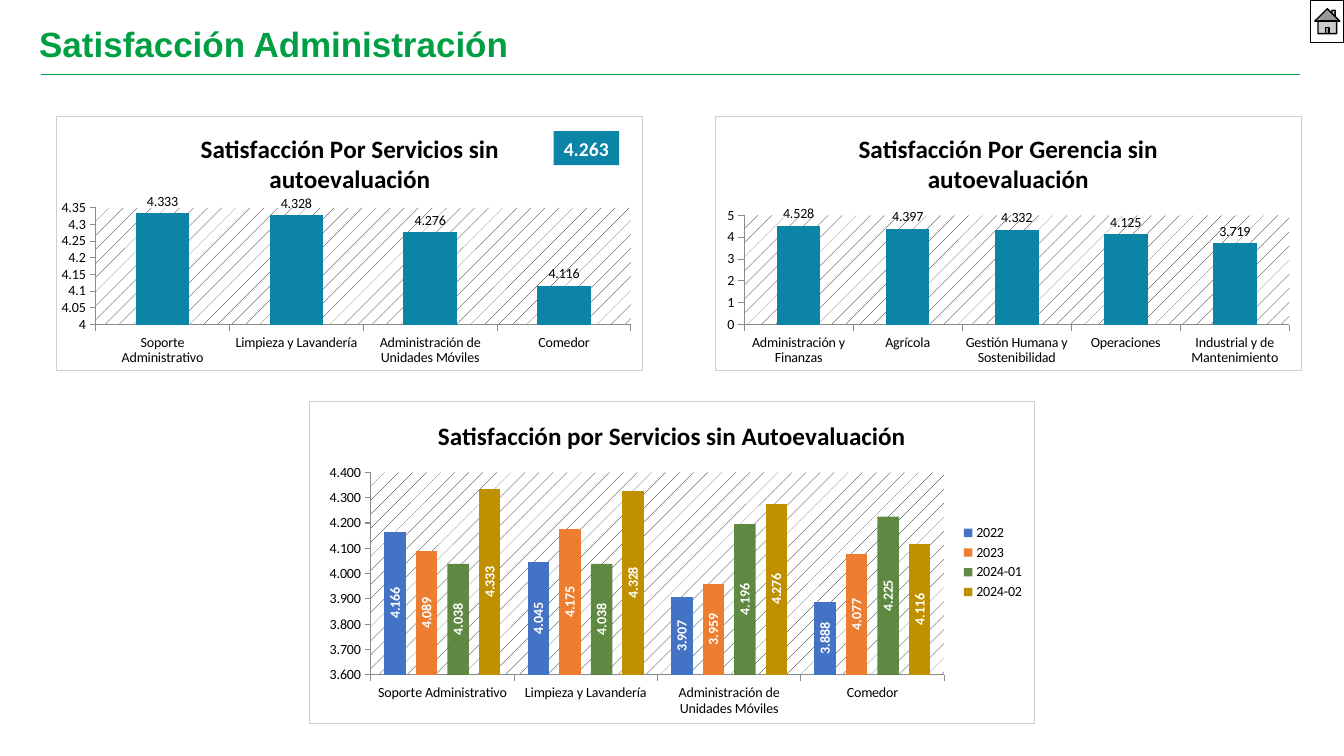
from lxml import etree
from pptx import Presentation
from pptx.chart.data import CategoryChartData
from pptx.dml.color import RGBColor
from pptx.enum.chart import XL_CHART_TYPE, XL_LABEL_POSITION, XL_LEGEND_POSITION, XL_TICK_MARK
from pptx.enum.shapes import MSO_CONNECTOR, MSO_SHAPE
from pptx.enum.text import MSO_ANCHOR, PP_ALIGN
from pptx.oxml import parse_xml
from pptx.oxml.ns import nsdecls, qn
from pptx.util import Inches, Pt

COLORS = {
    "green": "009F43", "teal": "0B84A5", "black": "000000", "white": "FFFFFF",
    "frame": "D0CECE", "axis": "8B8B8B", "2022": "4472C4", "2023": "ED7D31",
    "2024-01": "548235", "2024-02": "BF9000",
}
SERVICES = ["Soporte Administrativo", "Limpieza y Lavandería",
            "Administración de Unidades Móviles", "Comedor"]
MANAGEMENTS = ["Administración y Finanzas", "Agrícola", "Gestión Humana y Sostenibilidad",
               "Operaciones", "Industrial y de Mantenimiento"]
SERVICE_SCORES = [4.333, 4.328, 4.276, 4.116]
MANAGEMENT_SCORES = [4.528, 4.397, 4.332, 4.125, 3.719]
HISTORY = {
    "2022": [4.166, 4.045, 3.907, 3.888],
    "2023": [4.089, 4.175, 3.959, 4.077],
    "2024-01": [4.038, 4.038, 4.196, 4.225],
    "2024-02": SERVICE_SCORES,
}


def rgb(name):
    """Return the named colour."""
    return RGBColor.from_string(COLORS[name])


def style_font(font, size, color="black", bold=False, family="Calibri"):
    """Set the look of a font."""
    font.name, font.size, font.bold = family, Pt(size), bold
    font.color.rgb = rgb(color)


def frame_chart(chart, plot_box):
    """Outline the chart, hatch its plot area and place the plot by fractions."""
    frame = parse_xml(
        f'<c:spPr {nsdecls("c", "a")}><a:solidFill><a:srgbClr val="{COLORS["white"]}"/></a:solidFill>'
        f'<a:ln w="9525"><a:solidFill><a:srgbClr val="{COLORS["frame"]}"/></a:solidFill></a:ln></c:spPr>')
    hatch = parse_xml(
        f'<c:spPr {nsdecls("c", "a")}><a:pattFill prst="pct5">'
        f'<a:fgClr><a:srgbClr val="{COLORS["black"]}"/></a:fgClr>'
        f'<a:bgClr><a:srgbClr val="{COLORS["white"]}"/></a:bgClr></a:pattFill>'
        '<a:ln><a:noFill/></a:ln></c:spPr>')
    modes = '<c:layoutTarget val="inner"/><c:xMode val="edge"/><c:yMode val="edge"/>'
    places = "".join(f'<c:{key} val="{value}"/>' for key, value in zip("xywh", plot_box))
    layout = parse_xml(f'<c:layout {nsdecls("c")}><c:manualLayout>{modes}{places}'
                       '</c:manualLayout></c:layout>')
    body = chart.element.find(qn("c:chart"))
    plot_area = body.find(qn("c:plotArea"))
    for old_layout in plot_area.findall(qn("c:layout")):
        plot_area.remove(old_layout)
    plot_area.insert(0, layout)
    plot_area.append(hatch)
    body.addnext(frame)


def add_columns(slide, box, title, categories, series, plot_box, scale, axis_format="General"):
    """Add a framed column chart in the box and return it."""
    data = CategoryChartData()
    data.categories = categories
    for name, scores in series.items():
        data.add_series(name, scores)
    chart = slide.shapes.add_chart(XL_CHART_TYPE.COLUMN_CLUSTERED,
                                   *(Inches(length) for length in box), data).chart
    style_font(chart.font, 10)
    chart.has_legend = False
    chart.has_title = True
    heading = chart.chart_title.text_frame
    heading.text = title
    style_font(heading.paragraphs[0].font, 18, bold=True)
    for axis in (chart.category_axis, chart.value_axis):
        axis.has_major_gridlines = False
        axis.major_tick_mark = XL_TICK_MARK.OUTSIDE
        axis.format.line.color.rgb = rgb("axis")
    scores_axis = chart.value_axis
    scores_axis.minimum_scale, scores_axis.maximum_scale, scores_axis.major_unit = scale
    scores_axis.tick_labels.number_format = axis_format
    scores_axis.tick_labels.number_format_is_linked = False
    chart.plots[0].vary_by_categories = False
    chart.plots[0].gap_width = 150
    frame_chart(chart, plot_box)
    return chart


def paint_series(series, color, label_color, position, bold=False):
    """Fill a series and show its values."""
    series.format.fill.solid()
    series.format.fill.fore_color.rgb = rgb(color)
    series.invert_if_negative = False
    labels = series.data_labels
    style_font(labels.font, 10, label_color, bold)
    labels.show_value = True
    labels.number_format = "0.000"
    labels.number_format_is_linked = False
    labels.position = position
    return labels


def add_score_chart(slide, box, title, categories, scores, plot_box, scale):
    """Add a chart with one teal series."""
    chart = add_columns(slide, box, title, categories, {"Series 1": scores}, plot_box, scale)
    paint_series(chart.plots[0].series[0], "teal", "black", XL_LABEL_POSITION.OUTSIDE_END)


def add_history_chart(slide, box):
    """Add the chart that compares the periods, with upright labels and a legend."""
    chart = add_columns(slide, box, "Satisfacción por Servicios sin Autoevaluación", SERVICES,
                        HISTORY, (0.085, 0.22, 0.79, 0.63), (3.6, 4.4, 0.1), "0.000")
    plot = chart.plots[0]
    plot.gap_width, plot.overlap = 127, -47
    for period in plot.series:
        labels = paint_series(period, period.name, "white", XL_LABEL_POSITION.CENTER, True)
        body = labels._element.find(qn("c:txPr")).find(qn("a:bodyPr"))
        body.set("rot", "-5400000")
        body.set("vert", "horz")
    third_color = next(plot.series[2].format.fill._xPr.iter(qn("a:srgbClr")))
    etree.SubElement(third_color, qn("a:alpha")).set("val", "93000")
    chart.has_legend = True
    chart.legend.position = XL_LEGEND_POSITION.RIGHT
    chart.legend.include_in_layout = False
    style_font(chart.legend.font, 10)


def add_header(slide, left, top, width):
    """Add the heading and the rule below it."""
    rule_left, rule_top = left + 0.12, top + 0.5
    rule = slide.shapes.add_connector(
        MSO_CONNECTOR.STRAIGHT, Inches(rule_left), Inches(rule_top),
        Inches(left + width), Inches(rule_top))
    rule.line.color.rgb = rgb("green")
    rule.line.width = Pt(0.5)
    etree.SubElement(rule._element.spPr, qn("a:effectLst"))
    heading = slide.shapes.add_textbox(Inches(left), Inches(top), Inches(11.59), Inches(0.44)).text_frame
    heading.word_wrap = True
    heading.vertical_anchor = MSO_ANCHOR.MIDDLE
    line = heading.paragraphs[0]
    line.text = "Satisfacción Administración"
    line.line_spacing = 0.9
    style_font(line.font, 25, "green", True, "Arial")


def add_box(slide, kind, box, color):
    """Add a filled shape without outline or shadow."""
    shape = slide.shapes.add_shape(kind, *(Inches(length) for length in box))
    shape.shadow.inherit = False
    shape.fill.solid()
    shape.fill.fore_color.rgb = rgb(color)
    shape.line.fill.background()
    return shape


def add_home_button(slide, box):
    """Add the home button."""
    button = add_box(slide, MSO_SHAPE.ACTION_BUTTON_HOME, box, "white")
    button.line.color.rgb = rgb("black")
    button.line.width = Pt(1)


def add_average(slide, box):
    """Add the badge with the overall score."""
    badge = add_box(slide, MSO_SHAPE.RECTANGLE, box, "teal")
    score = badge.text_frame.paragraphs[0]
    score.text = "4.263"
    score.alignment = PP_ALIGN.CENTER
    style_font(score.font, 14, "white", True)


def main():
    """Build the slide and save it."""
    deck = Presentation()
    deck.slide_width, deck.slide_height = Inches(13.33), Inches(7.5)
    slide = deck.slides.add_slide(deck.slide_layouts[6])
    add_score_chart(slide, (0.56, 1.15, 5.82, 2.53), "Satisfacción Por Servicios sin autoevaluación",
                    SERVICES, SERVICE_SCORES, (0.066, 0.36, 0.914, 0.46), (4, 4.35, 0.05))
    add_header(slide, 0.29, 0.24, 12.6)
    add_home_button(slide, (13, 0, 0.33, 0.42))
    add_average(slide, (5.49, 1.3, 0.65, 0.34))
    add_score_chart(slide, (7.09, 1.15, 5.82, 2.53), "Satisfacción Por Gerencia sin autoevaluación",
                    MANAGEMENTS, MANAGEMENT_SCORES, (0.049, 0.39, 0.931, 0.43), (0, 5, 1))
    add_history_chart(slide, (3.06, 3.98, 7.21, 3.2))
    deck.save("out.pptx")


if __name__ == "__main__":
    main()
